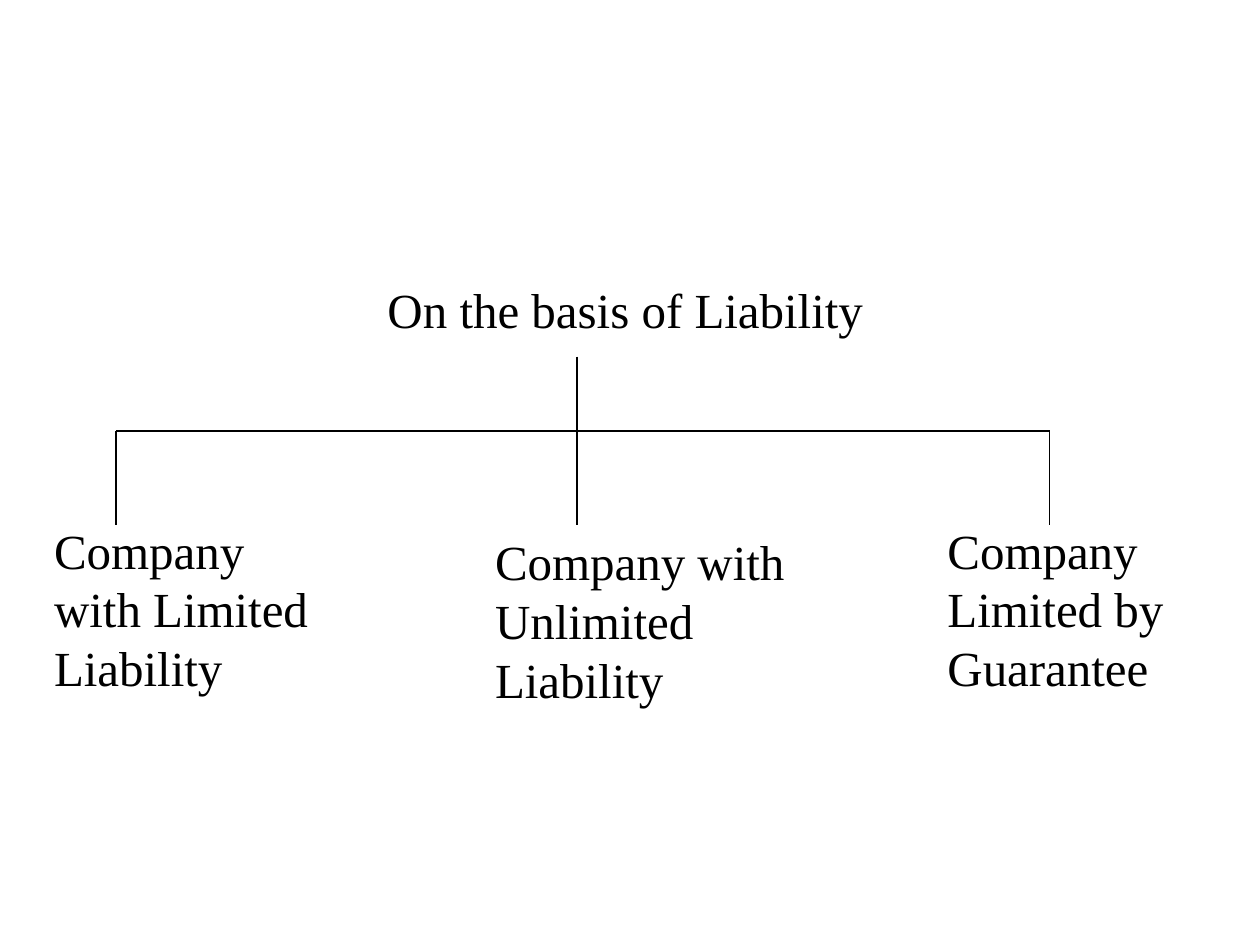
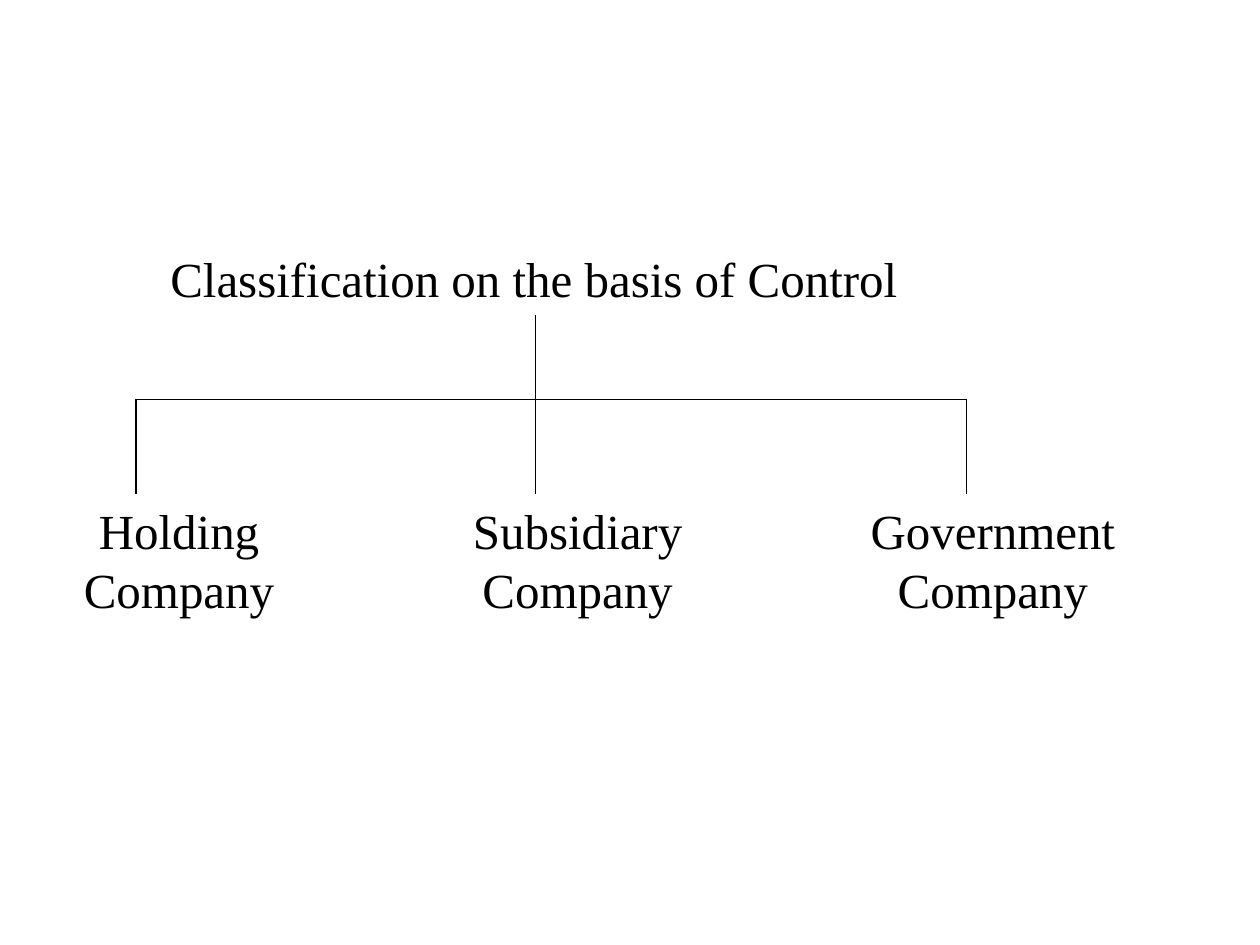
import pptx
import pptx.dml.color
import pptx.enum.shapes
import pptx.enum.text
import pptx.oxml.ns
import pptx.util
from lxml import etree

Cm = pptx.util.Cm
LEFT = pptx.enum.text.PP_ALIGN.LEFT
CENTER = pptx.enum.text.PP_ALIGN.CENTER
INK = "000000"
FONT = "Times New Roman"


def color(hex_code):
    return pptx.dml.color.RGBColor.from_string(hex_code)


def write(box, wording, place, align):
    box.left, box.top, box.width, box.height = [Cm(value) for value in place]
    frame = box.text_frame
    frame.word_wrap = True
    frame.auto_size = pptx.enum.text.MSO_AUTO_SIZE.NONE
    frame.vertical_anchor = pptx.enum.text.MSO_ANCHOR.TOP
    paragraph = frame.paragraphs[0]
    paragraph.alignment = align
    run = paragraph.add_run()
    run.text = wording
    run.font.name = FONT
    run.font.size = pptx.util.Pt(28)
    run.font.color.rgb = color(INK)


classifications = [
    {
        "heading": ("On the basis of Liability", (4.45, 5.51, 16.31, 1.45), CENTER),
        "levels": (7.19, 8.69, 10.59),
        "branches": (2.34, 11.63, 21.16),
        "align": LEFT,
        "companies": [
            ("Company with Limited Liability", (0.84, 10.36, 6.15, 3.81)),
            ("Company with Unlimited Liability", (9.73, 10.59, 8.05, 3.81)),
            ("Company Limited by Guarantee", (18.85, 10.36, 5.51, 3.81)),
        ],
    },
    {
        "heading": ("Classification on the basis of Control", (3.18, 4.88, 17.98, 1.45), LEFT),
        "levels": (6.35, 8.05, 9.96),
        "branches": (2.74, 10.8, 19.48),
        "align": CENTER,
        "companies": [
            ("Holding Company", (1.07, 9.96, 5.08, 2.62)),
            ("Subsidiary Company", (8.89, 9.96, 5.51, 2.62)),
            ("Government Company", (16.94, 9.96, 6.15, 2.62)),
        ],
    },
]

deck = pptx.Presentation()
deck.slide_width = Cm(25.4)
deck.slide_height = Cm(19.05)
title_only = deck.slide_layouts[5]

for classification in classifications:
    slide = deck.slides.add_slide(title_only)
    slide.background.fill.solid()
    slide.background.fill.fore_color.rgb = color("FFFFFF")
    write(slide.shapes.title, *classification["heading"])

    top, bar, bottom = classification["levels"]
    first, trunk, last = classification["branches"]
    tree = [(trunk, top, trunk, bar), (first, bar, last, bar)]
    tree += [(x, bar, x, bottom) for x in (first, trunk, last)]
    for ends in tree:
        branch = slide.shapes.add_connector(
            pptx.enum.shapes.MSO_CONNECTOR.STRAIGHT, *[Cm(value) for value in ends]
        )
        branch.line.color.rgb = color(INK)
        branch.line.width = pptx.util.Pt(0.75)
        etree.SubElement(branch._element.spPr, pptx.oxml.ns.qn("a:effectLst"))

    for company, place in classification["companies"]:
        label = slide.shapes.add_textbox(0, 0, 0, 0)
        write(label, company, place, classification["align"])

deck.save("out.pptx")
